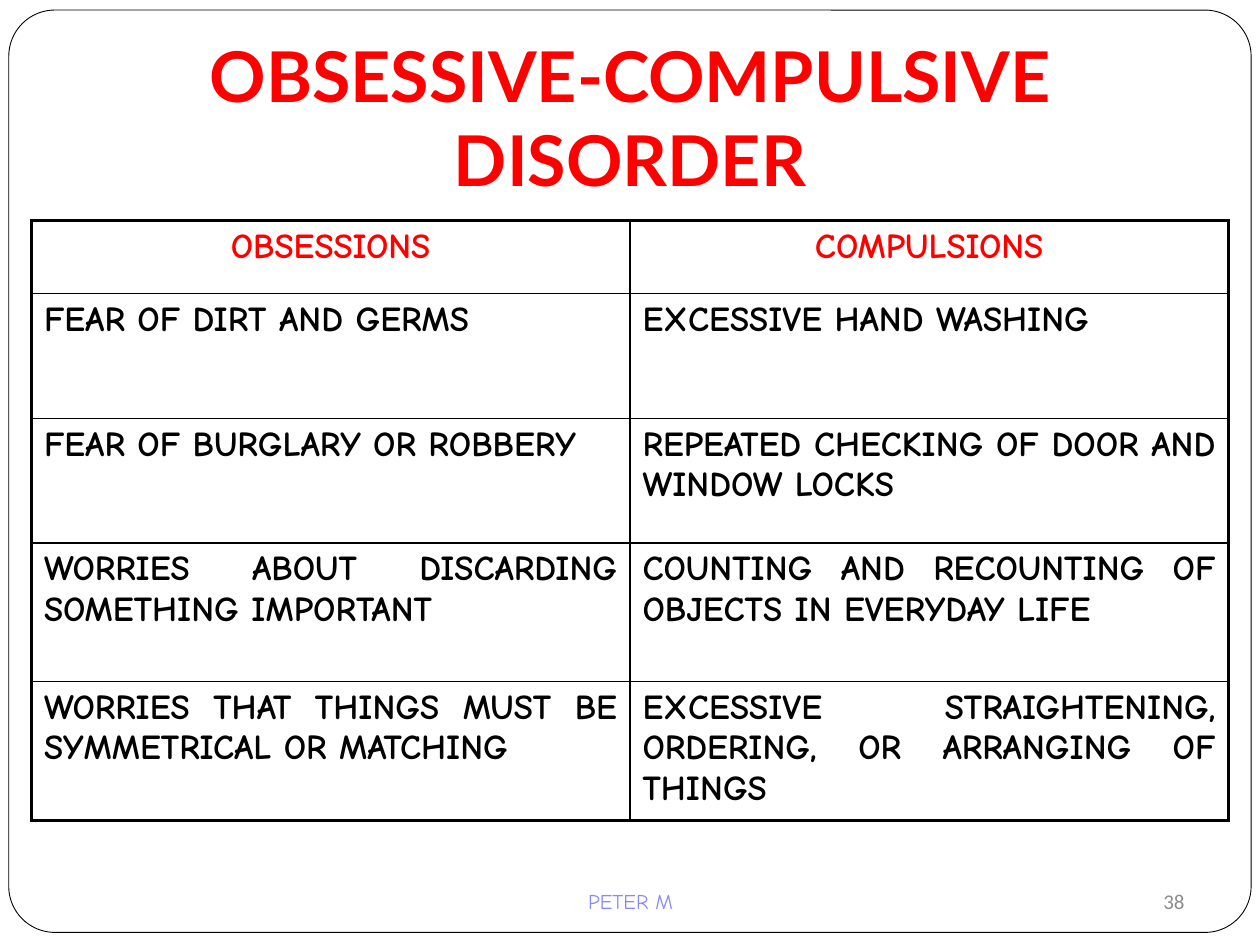
from dataclasses import dataclass

from lxml.etree import SubElement
from pptx import Presentation
from pptx.dml.color import RGBColor
from pptx.enum.shapes import MSO_SHAPE
from pptx.enum.text import MSO_ANCHOR, PP_ALIGN
from pptx.oxml.ns import qn
from pptx.util import Emu, Pt

EMU_PER_PX = 9144  # 100 px to the inch
BLACK, WHITE, RED = "000000", "FFFFFF", "FF0000"
INNER_BORDER, OUTER_BORDER = 1, 2.25

ROWS = [
    ("OBSESSIONS", "COMPULSIONS"),
    ("FEAR OF DIRT AND GERMS", "EXCESSIVE HAND WASHING"),
    ("FEAR OF BURGLARY OR ROBBERY", "REPEATED CHECKING OF DOOR AND WINDOW LOCKS"),
    ("WORRIES ABOUT DISCARDING SOMETHING IMPORTANT",
     "COUNTING AND RECOUNTING OF OBJECTS IN EVERYDAY LIFE"),
    ("WORRIES THAT THINGS MUST BE SYMMETRICAL OR MATCHING",
     "EXCESSIVE STRAIGHTENING, ORDERING, OR ARRANGING OF THINGS"),
]
ROW_HEIGHTS = [58, 99, 99, 110, 110]
COLUMN_WIDTH = 475


@dataclass(frozen=True)
class Style:
    font: str
    size: int
    color: str
    align: PP_ALIGN
    bold: bool = False


@dataclass(frozen=True)
class Label:
    text: str
    left: int
    top: int
    width: int
    height: int
    style: Style


LABELS = [
    Label("PETER M", 342, 695, 317, 40,
          Style("Comic Neue", 12, "8989FF", PP_ALIGN.CENTER)),
    Label("38", 717, 695, 233, 40,
          Style("Calibri", 12, "8C8C8C", PP_ALIGN.RIGHT)),
    Label("OBSESSIVE-COMPULSIVE DISORDER", 50, 30, 900, 125,
          Style("Lato", 40, RED, PP_ALIGN.CENTER, True)),
]
HEADER_STYLE = Style("Comic Neue", 20, RED, PP_ALIGN.CENTER, True)
BODY_STYLE = Style("Comic Neue", 20, BLACK, PP_ALIGN.JUSTIFY, True)


def px(length: int) -> Emu:
    return Emu(length * EMU_PER_PX)


def rgb(color: str) -> RGBColor:
    return RGBColor.from_string(color)


def write_text(text_frame, text: str, style: Style) -> None:
    text_frame.text = text
    paragraph = text_frame.paragraphs[0]
    paragraph.alignment = style.align
    font = paragraph.runs[0].font
    font.name, font.size, font.bold = style.font, Pt(style.size), style.bold
    font.color.rgb = rgb(style.color)


def draw_frame(slide) -> None:
    shape = slide.shapes.add_shape(
        MSO_SHAPE.ROUNDED_RECTANGLE, px(7), px(8), px(986), px(732))
    shape.adjustments[0] = 0.05
    shape.shadow.inherit = False
    shape.fill.solid()
    shape.fill.fore_color.rgb = rgb(WHITE)
    shape.line.color.rgb = rgb(BLACK)
    shape.line.width = Pt(0.5)


def draw_label(slide, label: Label) -> None:
    shape = slide.shapes.add_textbox(
        px(label.left), px(label.top), px(label.width), px(label.height))
    text_frame = shape.text_frame
    text_frame.word_wrap = True
    text_frame.vertical_anchor = MSO_ANCHOR.MIDDLE
    write_text(text_frame, label.text, label.style)


def set_border(cell, side: str, width: float) -> None:
    properties = cell._tc.get_or_add_tcPr()
    line = SubElement(properties, qn(f"a:ln{side}"), w=str(int(Pt(width))))
    fill = SubElement(line, qn("a:solidFill"))
    SubElement(fill, qn("a:srgbClr"), val=BLACK)


def draw_table(slide) -> None:
    row_count, column_count = len(ROWS), len(ROWS[0])
    table = slide.shapes.add_table(
        row_count, column_count, px(25), px(175),
        px(COLUMN_WIDTH * column_count), px(sum(ROW_HEIGHTS))).table
    table.first_row = table.horz_banding = False
    for column in table.columns:
        column.width = px(COLUMN_WIDTH)
    for row_index, (texts, height) in enumerate(zip(ROWS, ROW_HEIGHTS)):
        table.rows[row_index].height = px(height)
        style = BODY_STYLE if row_index else HEADER_STYLE
        for column_index, text in enumerate(texts):
            cell = table.cell(row_index, column_index)
            write_text(cell.text_frame, text, style)
            # Thick lines run only around the outside of the table
            outer_sides = {
                "L": column_index == 0,
                "R": column_index == column_count - 1,
                "T": row_index == 0,
                "B": row_index == row_count - 1,
            }
            for side, is_outer in outer_sides.items():
                set_border(cell, side, OUTER_BORDER if is_outer else INNER_BORDER)
            cell.fill.background()


def main() -> None:
    presentation = Presentation()
    presentation.slide_width, presentation.slide_height = px(1000), px(750)
    slide = presentation.slides.add_slide(presentation.slide_layouts[6])

    # Rounded page frame
    draw_frame(slide)

    # Footer, page number and title
    for label in LABELS:
        draw_label(slide, label)

    # Obsessions beside compulsions
    draw_table(slide)

    presentation.save("out.pptx")


if __name__ == "__main__":
    main()
